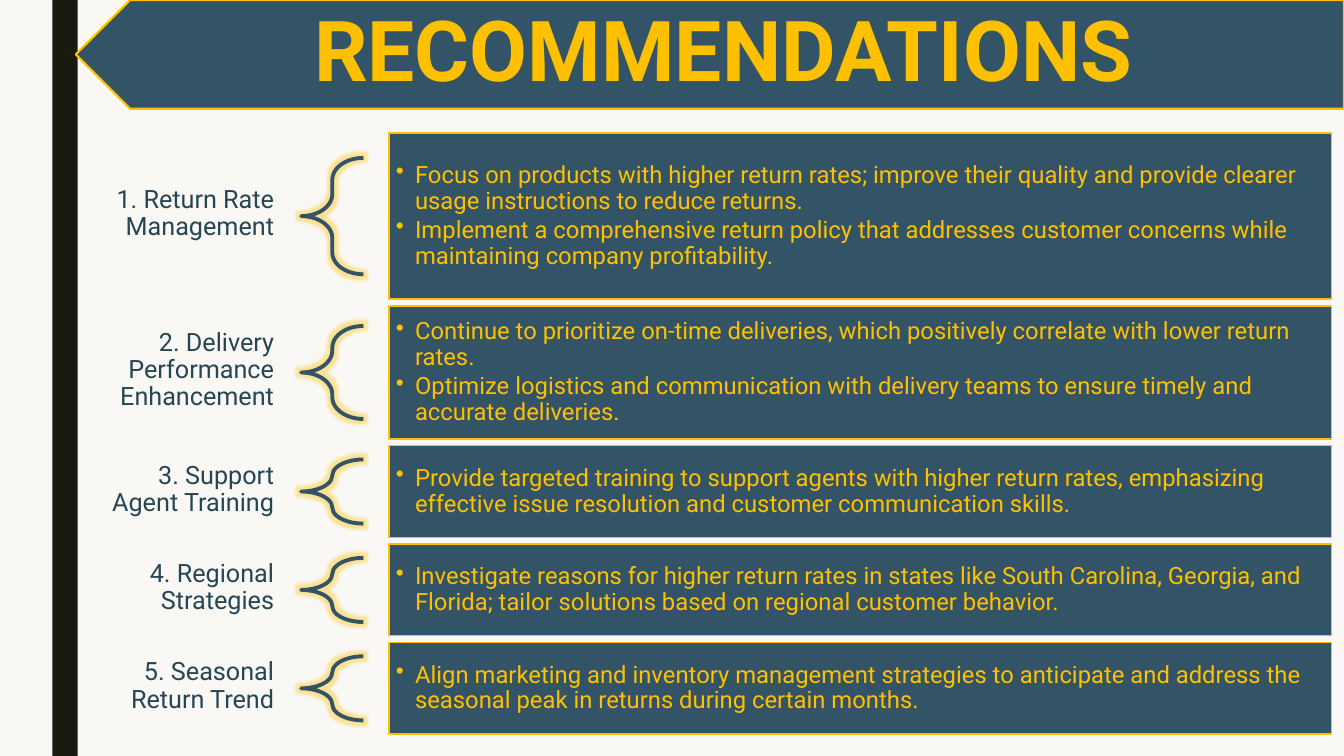
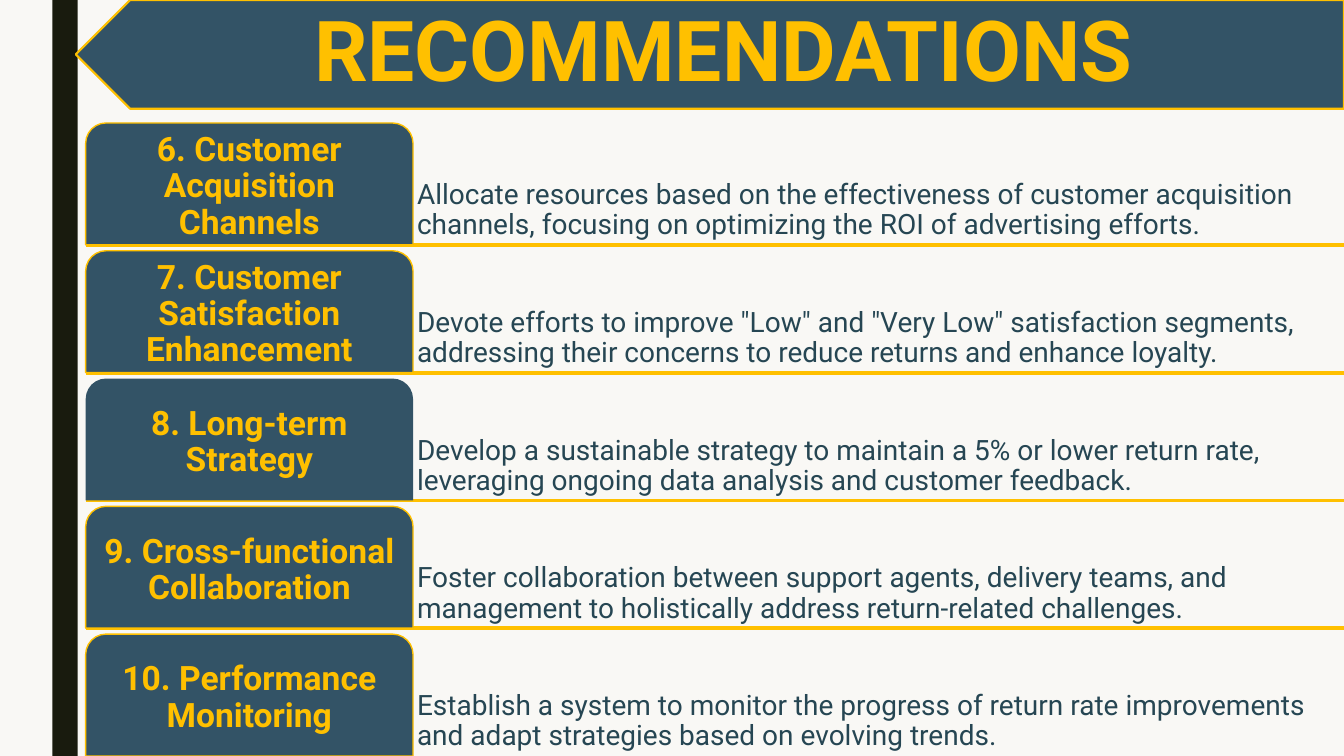
from lxml import etree
from pptx import Presentation
from pptx.dml.color import RGBColor
from pptx.enum.shapes import MSO_CONNECTOR, MSO_SHAPE
from pptx.enum.text import MSO_ANCHOR, MSO_AUTO_SIZE, PP_ALIGN
from pptx.oxml.ns import qn
from pptx.util import Cm, Pt

RECT, PENTAGON = MSO_SHAPE.RECTANGLE, MSO_SHAPE.PENTAGON
BRACE, TAB = MSO_SHAPE.LEFT_BRACE, MSO_SHAPE.ROUND_2_SAME_RECTANGLE
STRAIGHT = MSO_CONNECTOR.STRAIGHT
MIDDLE, BOTTOM = MSO_ANCHOR.MIDDLE, MSO_ANCHOR.BOTTOM
LEFT, CENTER, RIGHT = PP_ALIGN.LEFT, PP_ALIGN.CENTER, PP_ALIGN.RIGHT
NO_AUTOFIT = MSO_AUTO_SIZE.NONE

PAPER, INK, TEAL, GOLD, DARK = "F9F8F5", "191B0E", "335366", "FFC000", "264653"
WIDTH, HEIGHT = 33.87, 19.05
TITLE = "RECOMMENDATIONS"
TITLE_BOX = (2.59, 0, WIDTH - 2.59, 2.74)

# Heading, row height, bullets
ACTIONS = [
    ("1. Return Rate Management", 4.19, [
        "Focus on products with higher return rates; improve their quality and provide clearer usage instructions to reduce returns.",
        "Implement a comprehensive return policy that addresses customer concerns while maintaining company profitability."]),
    ("2. Delivery Performance Enhancement", 3.35, [
        "Continue to prioritize on-time deliveries, which positively correlate with lower return rates.",
        "Optimize logistics and communication with delivery teams to ensure timely and accurate deliveries."]),
    ("3. Support Agent Training", 2.31, [
        "Provide targeted training to support agents with higher return rates, emphasizing effective issue resolution and customer communication skills."]),
    ("4. Regional Strategies", 2.31, [
        "Investigate reasons for higher return rates in states like South Carolina, Georgia, and Florida; tailor solutions based on regional customer behavior."]),
    ("5. Seasonal Return Trend", 2.31, [
        "Align marketing and inventory management strategies to anticipate and address the seasonal peak in returns during certain months."]),
]

# Heading, detail, outline of the tab
STRATEGIES = [
    ("6. Customer Acquisition Channels",
     "Allocate resources based on the effectiveness of customer acquisition channels, focusing on optimizing the ROI of advertising efforts.", GOLD),
    ("7. Customer Satisfaction Enhancement",
     "Devote efforts to improve \"Low\" and \"Very Low\" satisfaction segments, addressing their concerns to reduce returns and enhance loyalty.", GOLD),
    ("8. Long-term Strategy",
     "Develop a sustainable strategy to maintain a 5% or lower return rate, leveraging ongoing data analysis and customer feedback.", None),
    ("9. Cross-functional Collaboration",
     "Foster collaboration between support agents, delivery teams, and management to holistically address return-related challenges.", GOLD),
    ("10. Performance Monitoring",
     "Establish a system to monitor the progress of return rate improvements and adapt strategies based on evolving trends.", GOLD),
]

# Insets are horizontal, vertical
STYLES = {
    "title": dict(size=60, bold=True, color=GOLD, align=CENTER, anchor=MIDDLE, insets=(1.2, 0.64)),
    "label": dict(size=18, bold=False, color=DARK, align=RIGHT, anchor=MIDDLE, insets=(0.36, 0.13)),
    "bullets": dict(size=17, bold=False, color=GOLD, align=LEFT, anchor=MIDDLE, insets=(0.18, 0.18),
                    bullet=True),
    "tab": dict(size=24, bold=True, color=GOLD, align=CENTER, anchor=MIDDLE, insets=(0.13, 0.13)),
    "detail": dict(size=20, bold=False, color=DARK, align=LEFT, anchor=BOTTOM, insets=(0.1, 0.1)),
}


def rgb(color):
    return RGBColor.from_string(color)


def set_all(target, values):
    for name, value in values.items():
        setattr(target, name, value)


def lengths(values):
    return [Cm(value) for value in values]


def add_bullet(paragraph):
    properties = paragraph._p.get_or_add_pPr()
    properties.set("marL", str(Cm(0.48)))
    properties.set("indent", str(-Cm(0.48)))
    etree.SubElement(properties, qn("a:buChar")).set("char", "•")


def write(shape, texts, style_name):
    style = STYLES[style_name]
    side, edge = lengths(style["insets"])
    frame = shape.text_frame
    set_all(frame, dict(word_wrap=True, auto_size=NO_AUTOFIT, vertical_anchor=style["anchor"],
                        margin_left=side, margin_right=side, margin_top=edge, margin_bottom=edge))
    for index, text in enumerate(texts):
        paragraph = frame.add_paragraph() if index else frame.paragraphs[0]
        if style.get("bullet"):
            add_bullet(paragraph)
        set_all(paragraph, dict(alignment=style["align"], line_spacing=0.9,
                                space_before=Pt(2.5 if index else 0)))
        run = paragraph.add_run()
        run.text = text
        set_all(run.font, dict(name="Roboto", size=Pt(style["size"]), bold=style["bold"]))
        run.font.color.rgb = rgb(style["color"])


def add_block(slide, preset, box, fill=None, line=None, weight=1):
    block = slide.shapes.add_shape(preset, *lengths(box))
    block.shadow.inherit = False
    if fill:
        block.fill.solid()
        block.fill.fore_color.rgb = rgb(fill)
    else:
        block.fill.background()
    if line:
        block.line.color.rgb = rgb(line)
        block.line.width = Pt(weight)
    else:
        block.line.fill.background()
    return block


def add_text(slide, box, text, style_name):
    write(slide.shapes.add_textbox(*lengths(box)), [text], style_name)


def add_glow(shape):
    effects = shape.element.spPr.find(qn("a:effectLst"))
    glow = etree.SubElement(effects, qn("a:glow"), rad=str(Pt(5)))
    color = etree.SubElement(glow, qn("a:srgbClr"), val=GOLD)
    etree.SubElement(color, qn("a:alpha"), val="40000")


def add_rule(slide, left, y):
    rule = slide.shapes.add_connector(STRAIGHT, *lengths((left, y, WIDTH, y)))
    rule.line.color.rgb = rgb(GOLD)
    rule.line.width = Pt(2.75)
    etree.SubElement(rule.element.spPr, qn("a:effectLst"))


def add_slide(prs, layout):
    slide = prs.slides.add_slide(layout)
    write(slide.shapes.title, [TITLE], "title")
    return slide


def set_up_layout(layout, slide):
    """Move the band and banner, drawn on the slide, behind the layout's title."""
    title = layout.placeholders[0]
    set_all(title, dict(zip(("left", "top", "width", "height"), lengths(TITLE_BOX))))
    band = add_block(slide, RECT, (1.32, 0, 0.64, HEIGHT), INK)
    banner = add_block(slide, PENTAGON, (1.91, 0, WIDTH - 1.91, 2.74), TEAL, GOLD, 1.5)
    banner.rotation = 180
    for part in (band, banner):
        title.element.addprevious(part.element)


def fill_actions(slide, top=3.35, gap=0.17):
    for heading, height, bullets in ACTIONS:
        add_text(slide, (2.24, top - 0.05, 5.03, height), heading, "label")
        brace_height = 0.7 * height
        brace = add_block(slide, BRACE, (7.59, top + (height - brace_height) / 2, 1.57, brace_height),
                          line=TEAL, weight=2.75)
        brace.adjustments[0] = 0.35
        add_glow(brace)
        panel = add_block(slide, RECT, (9.8, top, 23.75, height), TEAL, GOLD)
        write(panel, bullets, "bullets")
        top += height + gap


def fill_strategies(slide, left=2.16, top=3.1, width=8.25, height=3.07, pitch=3.22):
    tops = [top + index * pitch for index in range(len(STRATEGIES))]
    for row_top in tops[:-1]:
        add_rule(slide, left, row_top + height)
    detail_left = left + width
    for row_top, (heading, detail, outline) in zip(tops, STRATEGIES):
        add_text(slide, (detail_left, row_top, WIDTH - detail_left, height), detail, "detail")
        tab = add_block(slide, TAB, (left, row_top, width, height), TEAL, outline)
        tab.adjustments[0], tab.adjustments[1] = 0.167, 0
        write(tab, [heading], "tab")


def main():
    prs = Presentation()
    prs.slide_width, prs.slide_height = Cm(WIDTH), Cm(HEIGHT)
    background = prs.slide_master.background.fill
    background.solid()
    background.fore_color.rgb = rgb(PAPER)
    layout = prs.slide_layouts[5]

    actions, strategies = add_slide(prs, layout), add_slide(prs, layout)
    set_up_layout(layout, actions)
    fill_actions(actions)
    fill_strategies(strategies)
    prs.save("out.pptx")


if __name__ == "__main__":
    main()
